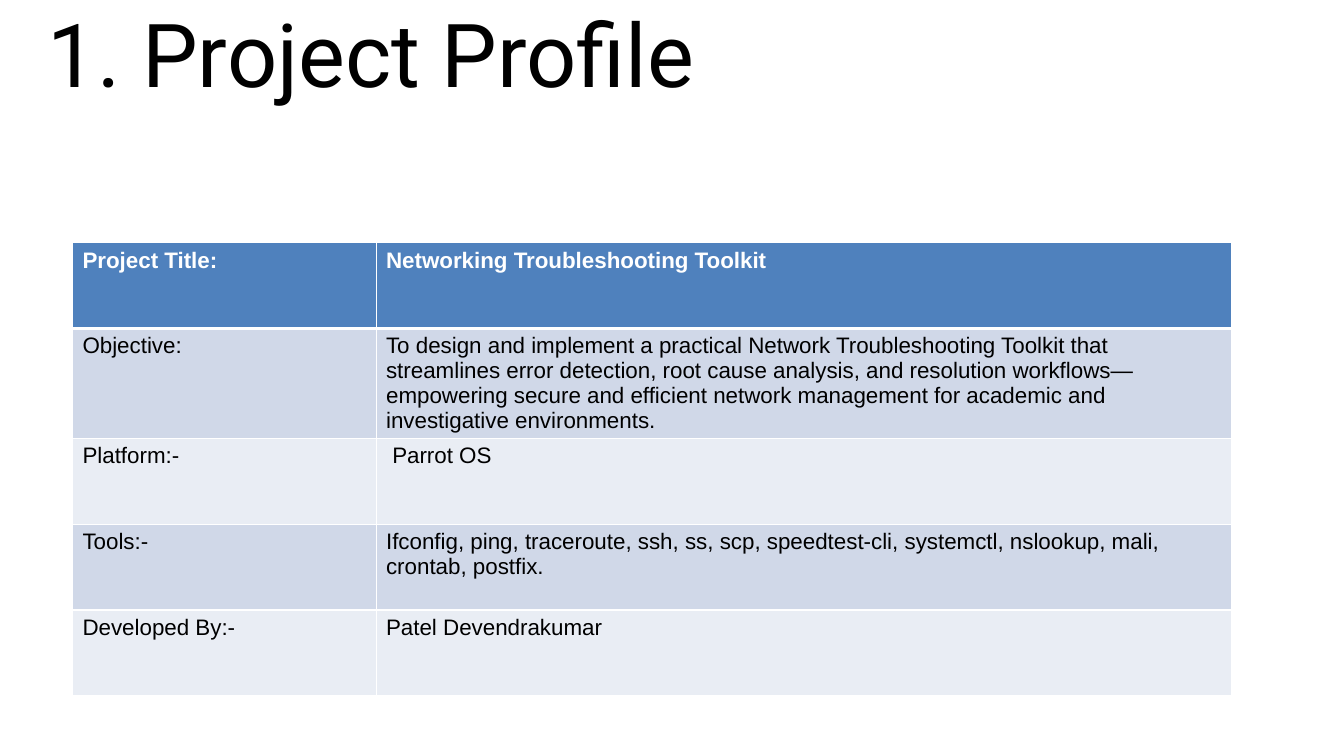
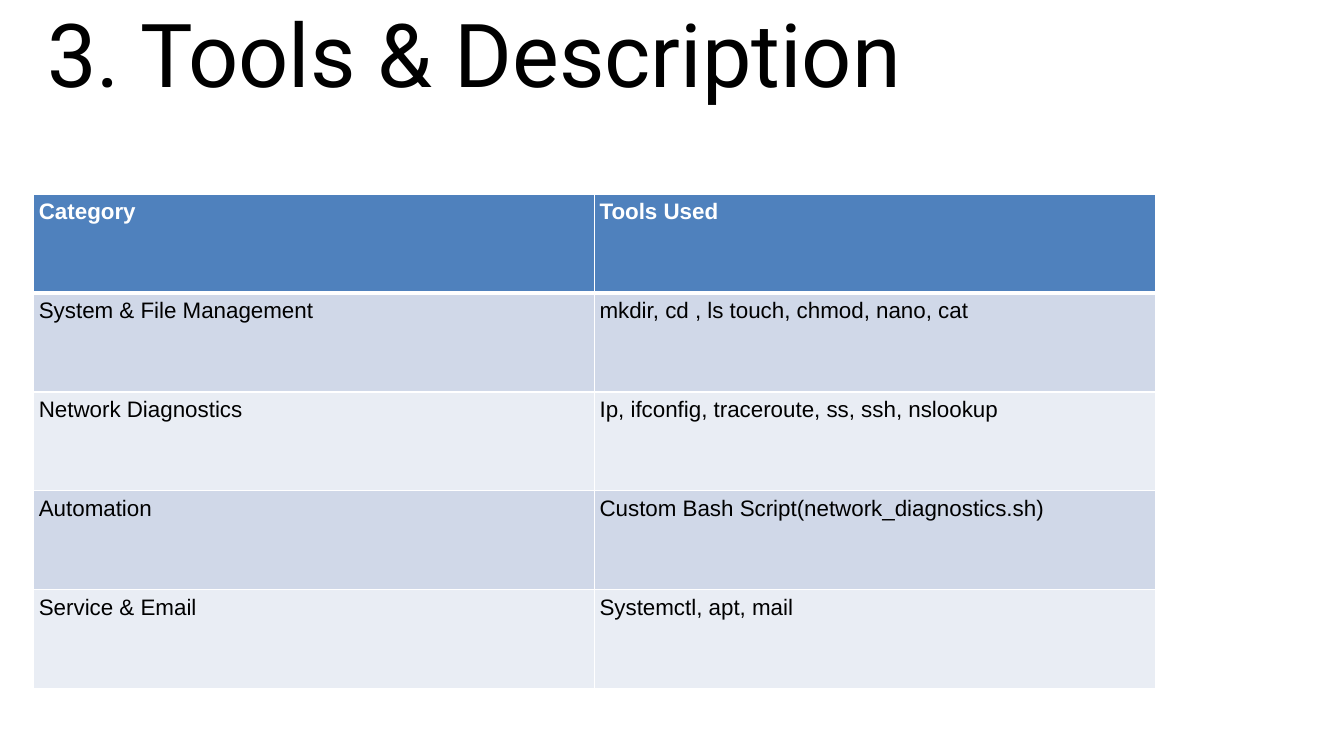
"""Build two slides, each with a large title and a banded table."""
from lxml.etree import SubElement
from pptx import Presentation
from pptx.dml.color import RGBColor
from pptx.enum.text import MSO_ANCHOR, MSO_AUTO_SIZE, PP_ALIGN
from pptx.oxml.ns import qn
from pptx.util import Cm, Pt

COLORS = {
    "text": "000000",
    "header_text": "FFFFFF",
    "border": "FFFFFF",
    "header": "4F81BD",
    "odd_row": "D0D8E8",
    "even_row": "E9EDF4",
}

SLIDES = [
    {
        "title": "1. Project Profile",
        "title_width": 17,
        "left": 1.83,
        "top": 6.12,
        "columns": [7.65, 21.56],
        "row_height": 2.16,
        "side_margin": 0.25,
        "rows": [
            ("Project Title:", "Networking Troubleshooting Toolkit"),
            (
                "Objective:",
                "To design and implement a practical Network Troubleshooting Toolkit "
                "that streamlines error detection, root cause analysis, and resolution "
                "workflows—empowering secure and efficient network management for "
                "academic and investigative environments.",
            ),
            ("Platform:-", " Parrot OS"),
            (
                "Tools:-",
                "Ifconfig, ping, traceroute, ssh, ss, scp, speedtest-cli, systemctl, "
                "nslookup, mali, crontab, postfix.",
            ),
            ("Developed By:-", "Patel Devendrakumar"),
        ],
    },
    {
        "title": "3. Tools & Description",
        "title_width": 22.2,
        "left": 0.85,
        "top": 4.9,
        "columns": [14.13, 14.13],
        "row_height": 2.49,
        "side_margin": 0.13,
        "rows": [
            ("Category", "Tools Used"),
            ("System & File Management", "mkdir, cd , ls touch, chmod, nano, cat"),
            ("Network Diagnostics", "Ip, ifconfig, traceroute, ss, ssh, nslookup"),
            ("Automation", "Custom Bash Script(network_diagnostics.sh)"),
            ("Service & Email", "Systemctl, apt, mail"),
        ],
    },
]


def write_text(frame, text, font="Arial", size=16, color="text", bold=False,
               align=PP_ALIGN.LEFT, spacing=1.0):
    para = frame.paragraphs[0]
    para.alignment = align
    para.line_spacing = spacing
    span = para.add_run()
    span.text = text
    span.font.name = font
    span.font.size = Pt(size)
    span.font.bold = bold
    span.font.color.rgb = RGBColor.from_string(COLORS[color])


def add_borders(cell, top=1, bottom=1):
    properties = cell._tc.get_or_add_tcPr()
    for side, width in (("L", 1), ("R", 1), ("T", top), ("B", bottom)):
        line = SubElement(properties, qn(f"a:ln{side}"), w=str(Pt(width)))
        fill = SubElement(line, qn("a:solidFill"))
        SubElement(fill, qn("a:srgbClr"), val=COLORS["border"])


deck = Presentation()
deck.slide_width = Cm(33.87)
deck.slide_height = Cm(19.05)

for content in SLIDES:
    page = deck.slides.add_slide(deck.slide_layouts[5])

    title = page.shapes.title
    title.left, title.top = Cm(0.85), Cm(0.5)
    title.width, title.height = Cm(content["title_width"]), Cm(2.12)
    title.text_frame.auto_size = MSO_AUTO_SIZE.NONE
    title.text_frame.vertical_anchor = MSO_ANCHOR.MIDDLE
    write_text(title.text_frame, content["title"], font="Roboto", size=63,
               align=PP_ALIGN.CENTER, spacing=0.8)

    rows, columns = content["rows"], content["columns"]
    table = page.shapes.add_table(
        len(rows), len(columns), Cm(content["left"]), Cm(content["top"]),
        Cm(sum(columns)), Cm(content["row_height"] * len(rows))).table
    for column, width in zip(table.columns, columns):
        column.width = Cm(width)

    for row_index, texts in enumerate(rows):
        table.rows[row_index].height = Cm(content["row_height"])
        is_header = row_index == 0
        band = "header" if is_header else "odd_row" if row_index % 2 else "even_row"
        for column_index, text in enumerate(texts):
            cell = table.cell(row_index, column_index)
            cell.margin_left = cell.margin_right = Cm(content["side_margin"])
            cell.margin_top = cell.margin_bottom = Cm(0.13)
            add_borders(cell, top=3 if row_index == 1 else 1,
                        bottom=3 if is_header else 1)
            cell.fill.solid()
            cell.fill.fore_color.rgb = RGBColor.from_string(COLORS[band])
            write_text(cell.text_frame, text, bold=is_header,
                       color="header_text" if is_header else "text")

deck.save("out.pptx")
